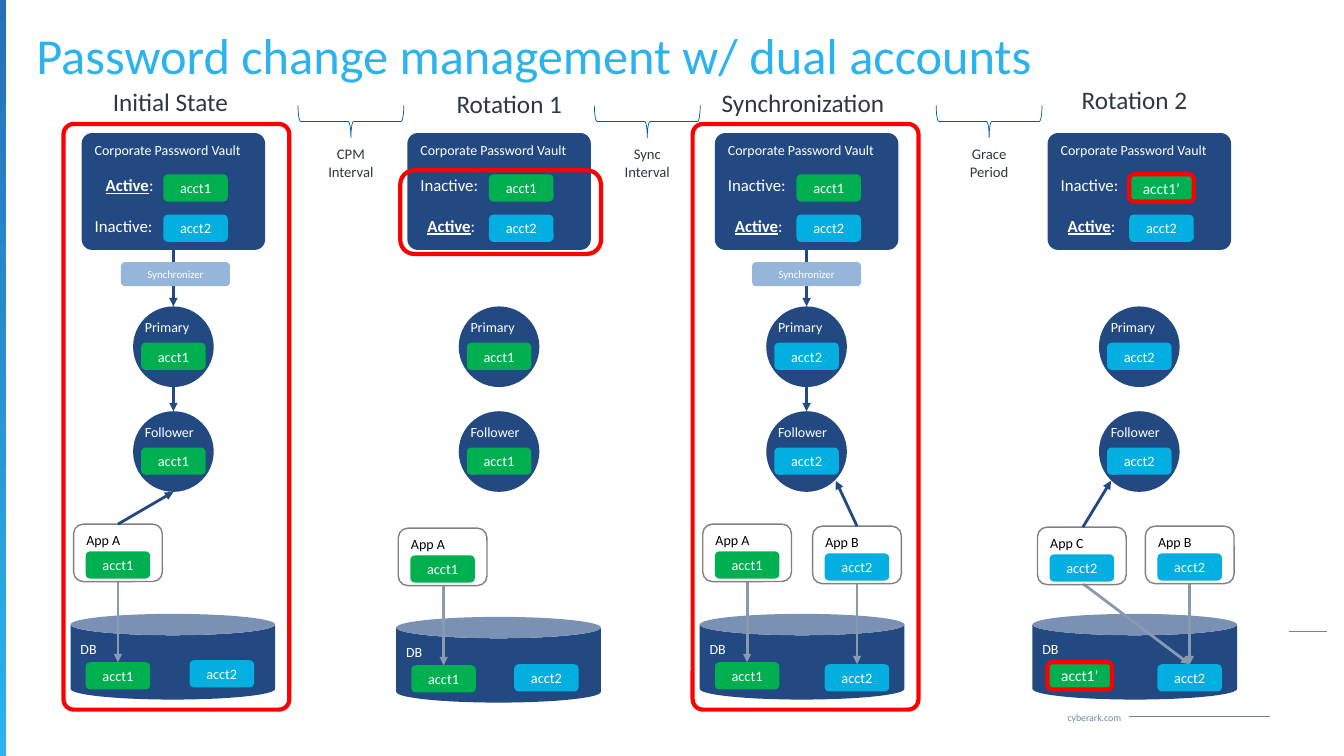
from dataclasses import dataclass

from lxml import etree
from pptx import Presentation
from pptx.dml.color import RGBColor
from pptx.enum.shapes import MSO_CONNECTOR, MSO_SHAPE
from pptx.enum.text import MSO_ANCHOR, PP_ALIGN
from pptx.oxml.ns import qn
from pptx.util import Pt

PX = 9144
FONT = "Calibri"
WHITE = RGBColor(0xFF, 0xFF, 0xFF)
BLACK = RGBColor(0, 0, 0)
NAVY = RGBColor(0x22, 0x49, 0x82)
GREEN = RGBColor(0x00, 0xB0, 0x50)
CYAN = RGBColor(0x02, 0xAF, 0xE0)
PALE_BLUE = RGBColor(0x95, 0xB6, 0xDA)
RED = RGBColor(0xFF, 0, 0)
GRAY = RGBColor(0x80, 0x80, 0x80)
ARROW_GRAY = RGBColor(0x89, 0x9A, 0xAF)
BRACE_BLUE = RGBColor(0x01, 0x59, 0x9F)
INK = RGBColor(0x2E, 0x38, 0x44)
FOOTER_GRAY = RGBColor(0x6E, 0x88, 0x97)
SKY = RGBColor(0x2B, 0xB3, 0xEE)
DEEP_BLUE = RGBColor(0x26, 0x6F, 0xB8)

RECT = MSO_SHAPE.RECTANGLE
ROUND = MSO_SHAPE.ROUNDED_RECTANGLE
OVAL = MSO_SHAPE.OVAL
CAN = MSO_SHAPE.CAN
BRACE = MSO_SHAPE.RIGHT_BRACE
STRAIGHT = MSO_CONNECTOR.STRAIGHT
LEFT, CENTER, RIGHT = PP_ALIGN.LEFT, PP_ALIGN.CENTER, PP_ALIGN.RIGHT
TOP, MIDDLE = MSO_ANCHOR.TOP, MSO_ANCHOR.MIDDLE


@dataclass
class Stage:
    heading: tuple
    vault_x: int
    vault_accounts: tuple
    active_row: int
    active_indent: int
    node_account: str
    database: tuple
    stored: tuple
    apps: tuple
    links: tuple
    requests: tuple = ()
    synchronizer_x: int = 0


STAGES = (
    Stage(("Initial State", 102, 81, 145), 81, ("acct1", "acct2"), 0, 11, "acct1",
          (70, 609), (("acct1", 85, 657), ("acct2", 188, 655)),
          (("App A", "acct1", 73, 520),), ((117, 577, 117, 657),),
          ((117, 520, 172, 488),), 120),
    Stage(("Rotation 1", 443, 83, 135), 404, ("acct1", "acct2"), 1, 7, "acct1",
          (393, 612), (("acct1", 408, 660), ("acct2", 510, 659)),
          (("App A", "acct1", 395, 524),), ((440, 580, 440, 660),)),
    Stage(("Synchronization", 706, 82, 200), 709, ("acct1", "acct2"), 1, 7, "acct2",
          (694, 609), (("acct1", 709, 657), ("acct2", 818, 659)),
          (("App A", "acct1", 697, 520), ("App B", "acct2", 806, 522)),
          ((741, 577, 741, 657), (850, 579, 850, 659)),
          ((850, 522, 829, 477),), 746),
    Stage(("Rotation 2", 1063, 79, 135), 1039, ("acct1’", "acct2"), 1, 7, "acct2",
          (1024, 609), (("acct1’", 1039, 657), ("acct2", 1148, 659)),
          (("App C", "acct2", 1029, 523), ("App B", "acct2", 1136, 522)),
          ((1180, 579, 1180, 659), (1074, 579, 1180, 659)),
          ((1074, 523, 1102, 477),)),
)

INTERVALS = (("CPM Interval", 332), ("Sync Interval", 626), ("Grace Period", 965))


def add_span(para, text, size, color, **style):
    span = para.add_run()
    span.text = text
    span.font.name = FONT
    span.font.size = Pt(size)
    span.font.color.rgb = color
    for name, value in style.items():
        setattr(span.font, name, value)


def write(box, text, size=10, color=WHITE, align=LEFT, anchor=TOP, inset=None, wrap=True):
    frame = box.text_frame
    frame.word_wrap = wrap
    frame.vertical_anchor = anchor
    if inset is not None:
        frame.margin_left = frame.margin_right = inset * PX
        frame.margin_top = frame.margin_bottom = inset * PX
    para = frame.paragraphs[0]
    para.alignment = align
    add_span(para, text, size, color)
    return para


def add_label(page, text, x, y, width, height, **style):
    box = page.shapes.add_textbox(x * PX, y * PX, width * PX, height * PX)
    write(box, text, **style)


def add_figure(page, kind, x, y, width, height, fill=None, line=None, weight=1, corner=None):
    figure = page.shapes.add_shape(kind, x * PX, y * PX, width * PX, height * PX)
    figure.shadow.inherit = False
    if fill is None:
        figure.fill.background()
    else:
        figure.fill.solid()
        figure.fill.fore_color.rgb = fill
    if line is None:
        figure.line.fill.background()
    else:
        figure.line.color.rgb = line
        figure.line.width = Pt(weight)
    if corner is not None:
        figure.adjustments[0] = corner
    return figure


def add_line(page, x1, y1, x2, y2, color, weight=2.0, arrow=True):
    line = page.shapes.add_connector(STRAIGHT, x1 * PX, y1 * PX, x2 * PX, y2 * PX)
    line.line.color.rgb = color
    line.line.width = Pt(weight)
    if arrow:
        etree.SubElement(line.line._get_or_add_ln(), qn("a:tailEnd"), type="triangle")
    etree.SubElement(line._element.spPr, qn("a:effectLst"))


def add_account(page, name, x, y):
    changed = name.endswith("’")
    chip = add_figure(page, ROUND, x, y, 64, 27, GREEN if name.startswith("acct1") else CYAN,
                      RED if changed else None, 3)
    write(chip, name, 11 if changed else 10.2, align=CENTER, anchor=MIDDLE, wrap=False)


def add_vault(page, stage):
    vault = add_figure(page, ROUND, stage.vault_x, 132, 182, 116, NAVY, corner=0.09)
    write(vault, "Corporate Password Vault")
    for row, (account, gap) in enumerate(zip(stage.vault_accounts, (12.2, 14.6))):
        para = vault.text_frame.add_paragraph()
        para.alignment = LEFT
        para.space_before = Pt(gap)
        if row == stage.active_row:
            para._p.get_or_add_pPr().set("marL", str(stage.active_indent * PX))
            add_span(para, "Active", 12, WHITE, bold=True, underline=True)
            add_span(para, ":", 12, WHITE)
        else:
            add_span(para, "Inactive:", 12, WHITE)
        add_account(page, account, stage.vault_x + 81, 173 + 40 * row)


def add_node(page, name, account, x, y):
    node = add_figure(page, OVAL, x, y, 80, 80, NAVY)
    write(node, name, inset=0)
    add_account(page, account, x + 8, y + 36)


def add_app(page, name, account, x, y):
    app = add_figure(page, ROUND, x, y, 88, 57, WHITE, GRAY)
    fill_color = app._element.spPr.find(".//" + qn("a:srgbClr"))
    etree.SubElement(fill_color, qn("a:alpha"), val="50000")
    write(app, name, color=BLACK)
    add_account(page, account, x + 12, y + 27)


def add_stage(page, stage):
    node_x = stage.vault_x + 51
    center = node_x + 40
    add_vault(page, stage)
    if stage.synchronizer_x:
        add_line(page, center, 248, center, 304, NAVY)
        synchronizer = add_figure(page, ROUND, stage.synchronizer_x, 260, 108, 24, PALE_BLUE)
        write(synchronizer, "Synchronizer", 7.7, align=CENTER, anchor=MIDDLE)
        add_line(page, center, 384, center, 408, NAVY)
    add_node(page, "Primary", stage.node_account, node_x, 304)
    add_node(page, "Follower", stage.node_account, node_x, 408)
    database_x, database_y = stage.database
    database = add_figure(page, CAN, database_x, database_y, 203, 85, NAVY)
    write(database, "DB")
    for account in stage.stored:
        add_account(page, *account)
    for link in stage.links:
        add_line(page, *link, ARROW_GRAY)
    for app in stage.apps:
        add_app(page, *app)
    for request in stage.requests:
        add_line(page, *request, NAVY)
    if stage.synchronizer_x:
        add_figure(page, ROUND, database_x - 7, 123, 224, 581, line=RED, weight=3, corner=0.046)
    text, x, y, width = stage.heading
    add_label(page, text, x, y, width, 40, size=18, color=INK)


def add_interval(page, text, x):
    add_label(page, text, x - 28, 139, 88, 46, size=10.5, color=INK, align=CENTER)
    brace = add_figure(page, BRACE, x, 68, 32, 105, line=BRACE_BLUE, weight=0.5)
    brace.rotation = 90


def add_frame(page):
    bar = add_figure(page, RECT, 0, 0, 6, 750, SKY)
    bar.fill.gradient()
    bar.fill.gradient_angle = 315
    for stop, color in zip(bar.fill.gradient_stops, (DEEP_BLUE, SKY)):
        stop.color.rgb = color
    add_line(page, 1278, 626, 1316, 626, FOOTER_GRAY, 0.5, False)
    add_line(page, 1120, 711, 1260, 711, FOOTER_GRAY, 0.5, False)
    add_label(page, "cyberark.com", 662, 706, 450, 12, size=7, color=FOOTER_GRAY,
              align=RIGHT, anchor=MIDDLE, inset=0)


def set_title(page, text):
    title = page.shapes.title
    title.left, title.top, title.width, title.height = (n * PX for n in (36, 36, 1263, 44))
    para = write(title, text, 36, SKY, anchor=MIDDLE, inset=0)
    para.line_spacing = 0.9


def main():
    deck = Presentation()
    deck.slide_width, deck.slide_height = 1333 * PX, 750 * PX
    page = deck.slides.add_slide(deck.slide_layouts[5])
    add_frame(page)
    set_title(page, "Password change management w/ dual accounts")
    for stage in STAGES:
        add_stage(page, stage)
    add_figure(page, ROUND, 397, 169, 199, 83, line=RED, weight=3)
    for interval in INTERVALS:
        add_interval(page, *interval)
    deck.save("out.pptx")


if __name__ == "__main__":
    main()
